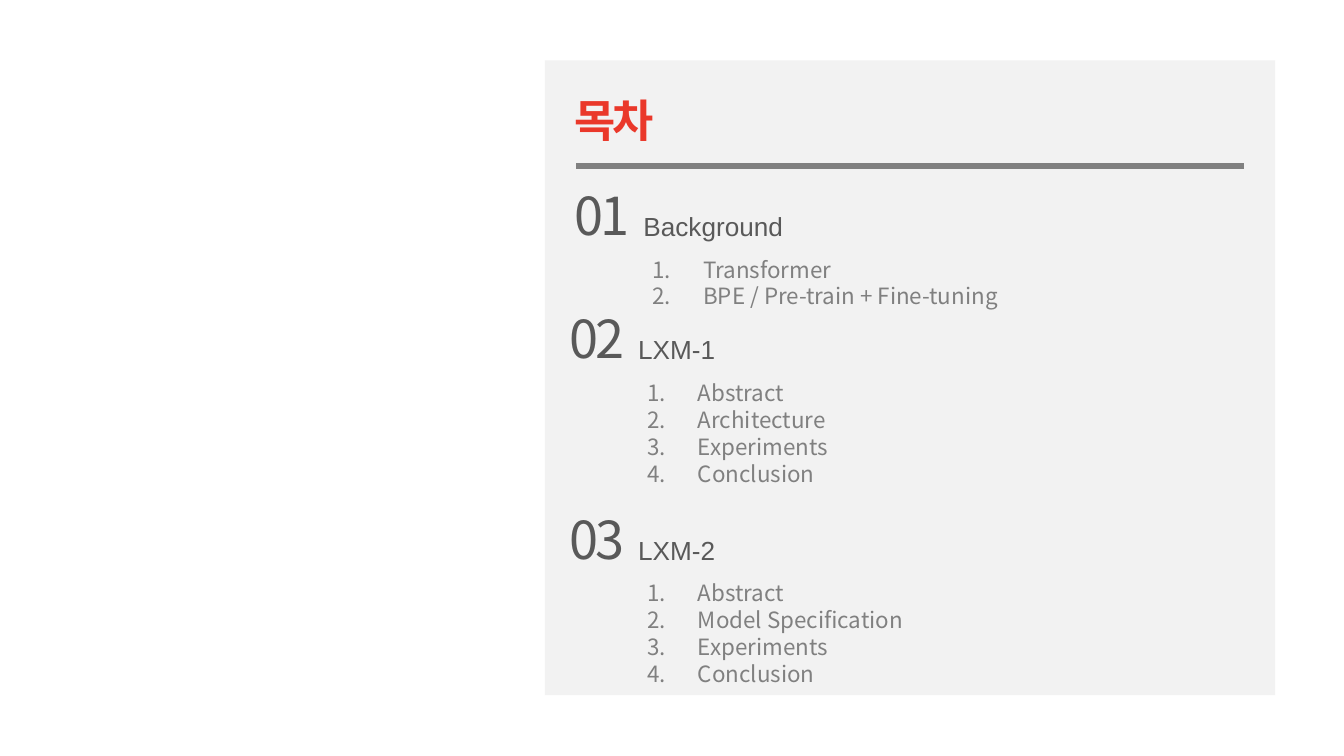
from pptx import Presentation
from pptx.dml.color import RGBColor
from pptx.enum.shapes import MSO_CONNECTOR, MSO_SHAPE
from pptx.enum.text import MSO_ANCHOR, MSO_AUTO_SIZE, PP_ALIGN
from pptx.oxml.ns import qn
from pptx.oxml.xmlchemy import OxmlElement
from pptx.util import Cm, Pt

SANS = "Noto Sans CJK KR"
LINE_HEIGHT = 0.51  # of a list entry, in cm
SECTIONS = [
    # left, top, number, heading, entries
    (10.61, 3.34, "01", "Background",
     ["Transformer", "BPE / Pre-train + Fine-tuning"]),
    (10.51, 5.67, "02", "LXM-1",
     ["Abstract", "Architecture", "Experiments", "Conclusion"]),
    (10.51, 9.46, "03", "LXM-2",
     ["Abstract", "Model Specification", "Experiments", "Conclusion"]),
]


def paint(color_format, value):
    color_format.rgb = RGBColor.from_string(value)


def write(shape, *lines, size, color, font=SANS, bold=False, spacing=0,
          numbered=False):
    frame = shape.text_frame
    frame.word_wrap = True
    frame.auto_size = MSO_AUTO_SIZE.SHAPE_TO_FIT_TEXT
    frame.vertical_anchor = MSO_ANCHOR.TOP
    for index, line in enumerate(lines):
        paragraph = frame.add_paragraph() if index else frame.paragraphs[0]
        paragraph.alignment = PP_ALIGN.LEFT
        if numbered:
            number_paragraph(paragraph)
        run = paragraph.add_run()
        run.text = line
        run.font.size = Pt(size)
        run.font.bold = bold
        run.font.name = font
        paint(run.font.color, color)
        properties = run.font._element
        east_asian = OxmlElement("a:ea")
        east_asian.set("typeface", font)
        properties.find(qn("a:latin")).addnext(east_asian)
        if spacing:
            properties.set("spc", str(int(spacing * 100)))


def number_paragraph(paragraph):
    properties = paragraph._p.get_or_add_pPr()
    properties.set("marL", str(Cm(0.96)))
    properties.set("indent", str(-Cm(0.96)))
    numbering = OxmlElement("a:buAutoNum")
    numbering.set("type", "arabicPeriod")
    properties.append(numbering)


def add_text(shapes, left, top, width, height, *lines, **style):
    box = shapes.add_textbox(Cm(left), Cm(top), Cm(width), Cm(height))
    write(box, *lines, **style)


def add_panel(slide, left, top, width, height):
    # Grey background, placed behind the title
    panel = slide.shapes.add_shape(
        MSO_SHAPE.RECTANGLE, Cm(left), Cm(top), Cm(width), Cm(height))
    panel.shadow.inherit = False
    panel.fill.solid()
    paint(panel.fill.fore_color, "F2F2F2")
    panel.line.fill.background()

    # Title
    title = slide.shapes.title
    panel._element.addnext(title._element)
    title.left, title.top = Cm(left + 0.3), Cm(top + 0.49)
    title.width, title.height = Cm(7.8), Cm(1.27)
    write(title, "목차", size=24, color="EA382A", bold=True, spacing=-1.5)

    # Rule below the title
    rule_top = Cm(top + 2)
    rule = slide.shapes.add_connector(
        MSO_CONNECTOR.STRAIGHT, Cm(left + 0.59), rule_top,
        Cm(left + width - 0.59), rule_top)
    rule.line.width = Pt(3)
    paint(rule.line.color, "808080")
    rule._element.spPr.append(OxmlElement("a:effectLst"))


def add_section(slide, left, top, number, heading, entries):
    # Heading and its number
    header = slide.shapes.add_group_shape().shapes
    add_text(header, left + 1.3, top + 0.51, 7.72, 0.86, heading,
             size=14, color="595959", font="Arial")
    add_text(header, left, top, 3.2, 1.45, number,
             size=28, color="595959", spacing=-1.5)

    # Numbered entries
    add_text(slide.shapes, left + 1.47, top + 1.37, 7.11,
             0.25 + LINE_HEIGHT * len(entries), *entries,
             size=12, color="808080", numbered=True)


def main():
    presentation = Presentation()
    presentation.slide_width, presentation.slide_height = Cm(25.4), Cm(14.29)
    slide = presentation.slides.add_slide(presentation.slide_layouts[5])
    add_panel(slide, 10.3, 1.14, 13.8, 12)
    for section in SECTIONS:
        add_section(slide, *section)
    presentation.save("out.pptx")


if __name__ == "__main__":
    main()
